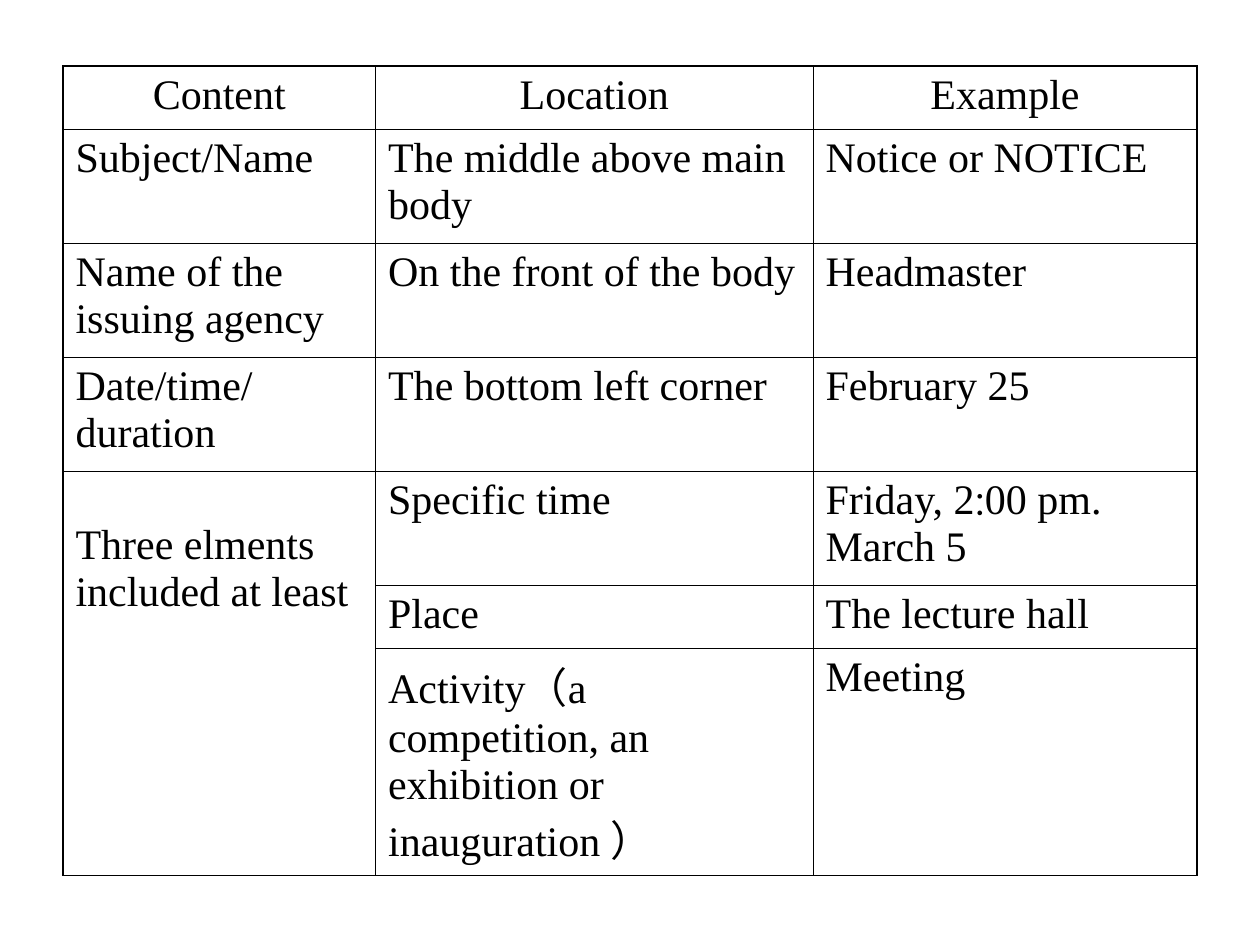
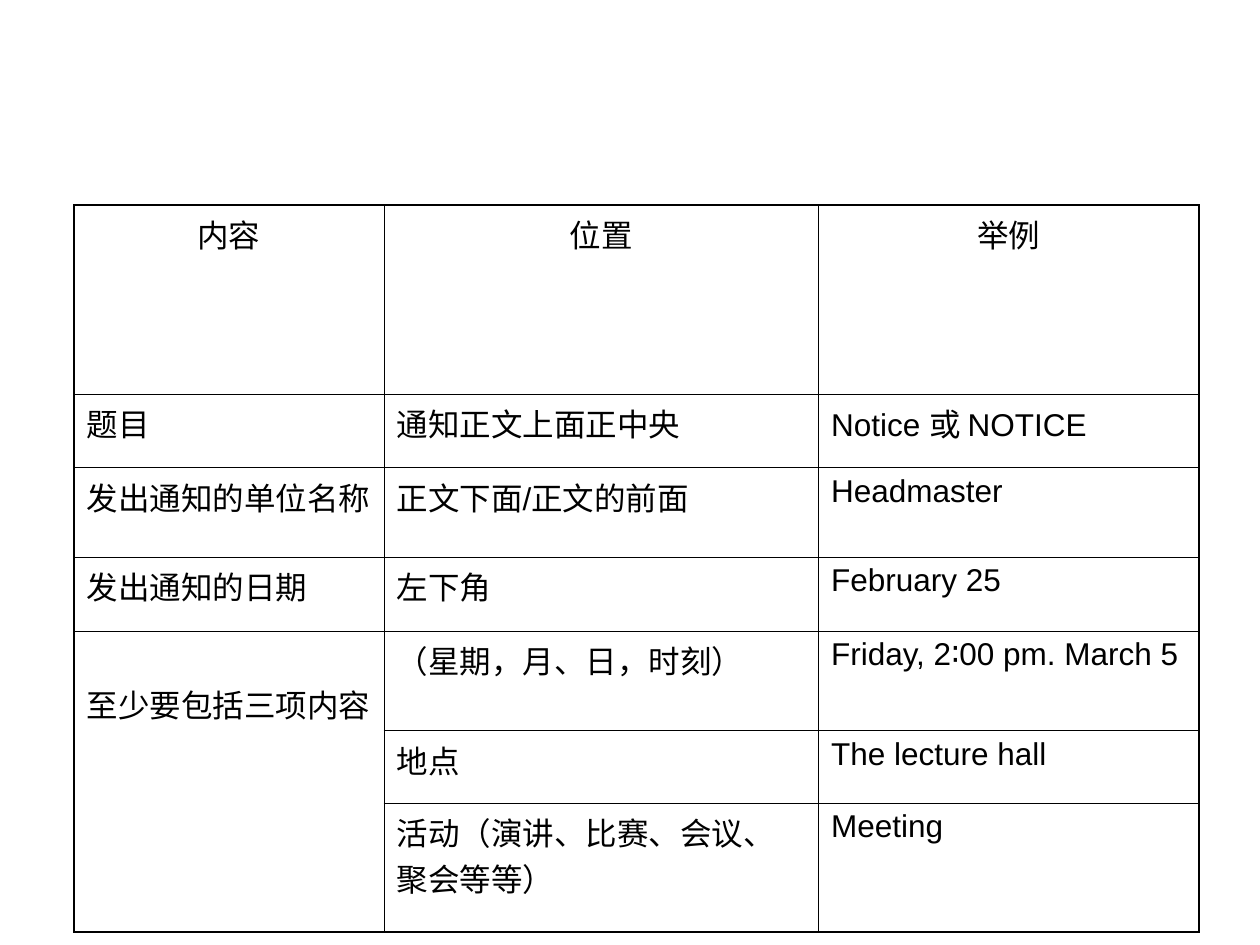
from dataclasses import dataclass

from lxml.etree import SubElement as Sub
from pptx import Presentation
from pptx.dml.color import RGBColor
from pptx.enum.text import PP_ALIGN as Align
from pptx.oxml.ns import qn
from pptx.slide import Slide
from pptx.table import _Cell as Cell
from pptx.util import Cm, Pt

BLACK = RGBColor(0x00, 0x00, 0x00)
WHITE = RGBColor(0xFF, 0xFF, 0xFF)
THIN = Pt(0.45)
THICK = Pt(1.08)
SPAN_TOP = 4


@dataclass(frozen=True)
class Grid:
    left: float
    top: float
    cols: tuple[float, ...]
    rows: tuple[float, ...]
    font: str
    size: float
    drop: float
    texts: tuple[tuple[str, ...], ...]


ENGLISH = Grid(
    1.27, 1.33, (6.3, 8.82, 7.74),
    (1.27, 2.3, 2.3, 2.3, 2.3, 1.27, 4.32),
    "Times New Roman", 24, 1.03,
    (
        ("Content", "Location", "Example"),
        ("Subject/Name", "The middle above main body", "Notice or NOTICE"),
        ("Name of the issuing agency", "On the front of the body", "Headmaster"),
        ("Date/time/duration", "The bottom left corner", "February 25"),
        ("Three elments included at least", "Specific time",
         "Friday, 2∶00 pm. March 5"),
        ("", "Place", "The lecture hall"),
        ("", "Activity（a competition, an exhibition or inauguration ）", "Meeting"),
    ),
)

CHINESE = Grid(
    1.49, 4.13, (6.25, 8.76, 7.67),
    (3.81, 1.48, 1.81, 1.49, 2, 1.47, 2.6),
    "Arial", 18, 1,
    (
        ("内容", "位置", "举例"),
        ("题目", "通知正文上面正中央", "Notice 或 NOTICE"),
        ("发出通知的单位名称", "正文下面/正文的前面", "Headmaster"),
        ("发出通知的日期", "左下角", "February 25"),
        ("至少要包括三项内容", "（星期，月、日，时刻）",
         "Friday, 2∶00 pm. March 5"),
        ("", "地点", "The lecture hall"),
        ("", "活动（演讲、比赛、会议、聚会等等）", "Meeting"),
    ),
)


def frame(cell: Cell, sides: dict[str, bool]) -> None:
    props = cell._tc.get_or_add_tcPr()
    for side, outer in sides.items():
        line = Sub(props, qn(f"a:ln{side}"), w=str(THICK if outer else THIN))
        fill = Sub(line, qn("a:solidFill"))
        Sub(fill, qn("a:srgbClr"), val=str(BLACK))
    cell.fill.background()


def write(cell: Cell, text: str, grid: Grid, head: bool) -> None:
    para = cell.text_frame.paragraphs[0]
    para.alignment = Align.CENTER if head else Align.LEFT
    para.space_before = Pt(grid.size / 4)
    run = para.add_run()
    run.text = text
    run.font.name = grid.font
    run.font.size = Pt(grid.size)
    run.font.color.rgb = BLACK


def draw(slide: Slide, grid: Grid) -> None:
    slide.background.fill.solid()
    slide.background.fill.fore_color.rgb = WHITE
    high, wide = len(grid.rows), len(grid.cols)
    table = slide.shapes.add_table(
        high, wide, Cm(grid.left), Cm(grid.top),
        Cm(sum(grid.cols)), Cm(sum(grid.rows)),
    ).table
    table.first_row = table.horz_banding = False
    for col, width in zip(table.columns, grid.cols):
        col.width = Cm(width)
    for row, height in zip(table.rows, grid.rows):
        row.height = Cm(height)
    for y, texts in enumerate(grid.texts):
        for x, text in enumerate(texts):
            cell = table.cell(y, x)
            low = y == high - 1 or (x == 0 and y >= SPAN_TOP)
            frame(cell, {"L": x == 0, "R": x == wide - 1, "T": y == 0, "B": low})
            if text:
                write(cell, text, grid, y == 0)
    span = table.cell(SPAN_TOP, 0)
    span.merge(table.cell(high - 1, 0))
    span.margin_top = Cm(grid.drop)


def main() -> None:
    deck = Presentation()
    deck.slide_width, deck.slide_height = Cm(25.4), Cm(19.05)
    for grid in (ENGLISH, CHINESE):
        draw(deck.slides.add_slide(deck.slide_layouts[6]), grid)
    deck.save("out.pptx")


if __name__ == "__main__":
    main()
